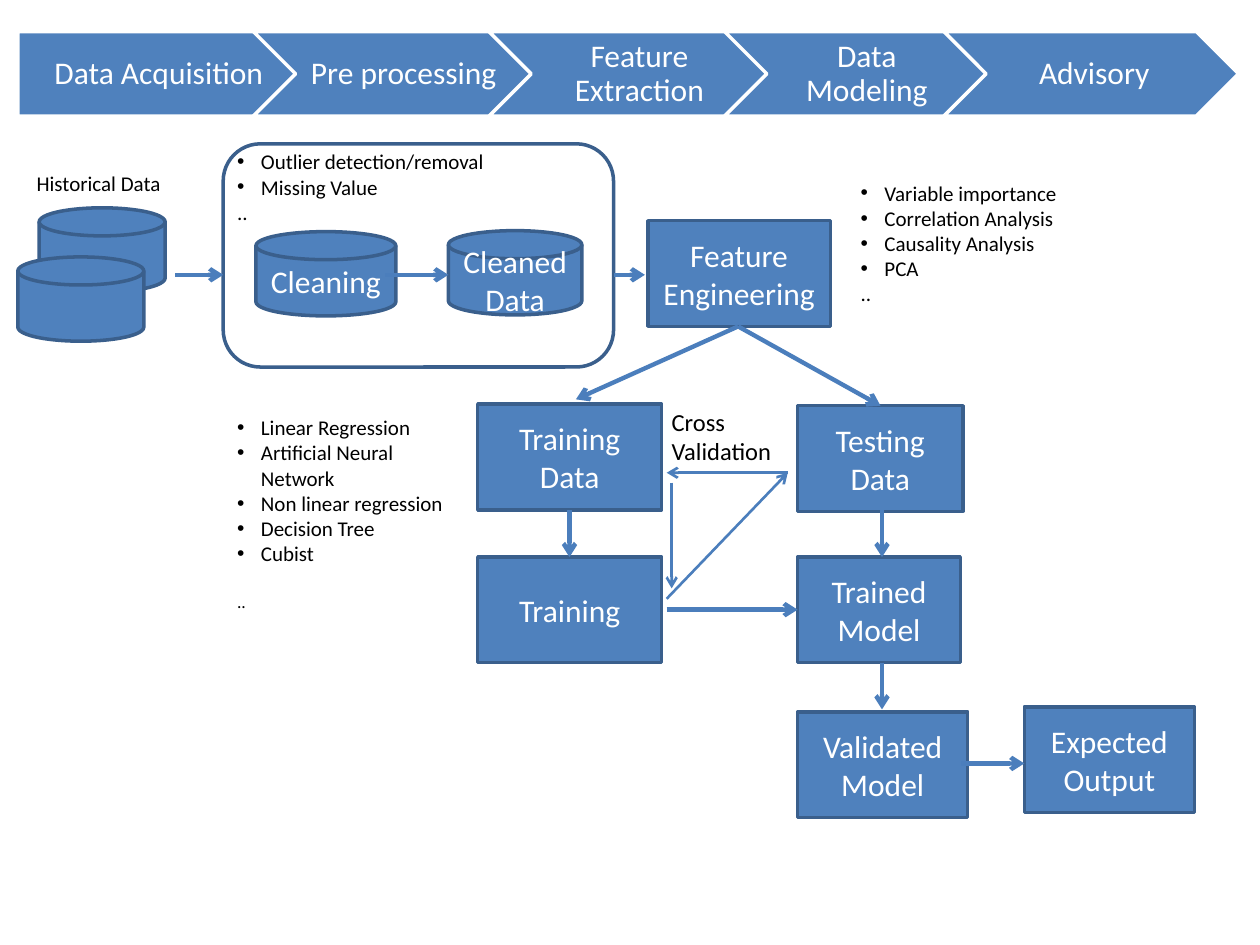
import pptx
import pptx.util
import pptx.dml.color
import pptx.enum.shapes
import pptx.enum.text
import pptx.oxml
import pptx.oxml.ns

Cm = pptx.util.Cm
Pt = pptx.util.Pt
SHAPES = pptx.enum.shapes.MSO_SHAPE
ALIGN = pptx.enum.text.PP_ALIGN
ANCHOR = pptx.enum.text.MSO_ANCHOR

THEME = {
    "font": "Calibri",
    "fill": "4F81BD", "outline": "3A5F8C", "arrow": "4B7EBC",
    "light": "FFFFFF", "dark": "000000",
    "box_size": 18, "label_size": 14, "list_size": 12, "small_size": 10,
    "outline_width": 2, "arrow_width": 2.5, "thin_width": 1.5,
}

STAGES = [
    ("Data Acquisition", 5.94), ("Pre processing", 5.94), ("Feature Extraction", 5.94),
    ("Data Modeling", 5.61), ("Advisory", 5.94),
]
STAGE_LEFT, STAGE_TOP, STAGE_HEIGHT, STAGE_OVERLAP = 0.36, 0.64, 1.7, 1.19

STORE_HEIGHT = 1.7
STORES = [
    ("", 0.79, 4.19, 2.54), ("", 0.36, 5.18, 2.54),
    ("Cleaning", 5.16, 4.67, 2.82), ("Cleaned Data", 9.04, 4.65, 2.69),
]

STEP_HEIGHT = 2.13
STEPS = [
    ("Feature Engineering", 13.06, 4.45, 3.68),
    ("Training Data", 9.63, 8.15, 3.71),
    ("Testing Data", 16.08, 8.18, 3.33),
    ("Training", 9.63, 11.23, 3.71),
    ("Trained Model", 16.08, 11.23, 3.28),
    ("Validated Model", 16.08, 14.35, 3.43),
    ("Expected Output", 20.65, 14.25, 3.43),
]

CLEANING_FRAME = (4.5, 2.9, 7.87, 4.5)

FLOW = [
    (3.53, 5.54, 4.5, 5.54), (7.77, 5.54, 9.04, 5.54), (12.37, 5.54, 13, 5.54),
    (14.88, 6.58, 11.61, 8.05), (14.88, 6.58, 17.75, 8.18),
    (11.48, 10.29, 11.48, 11.23), (13.44, 12.29, 16.08, 12.29),
    (17.78, 10.29, 17.78, 11.23), (17.78, 13.36, 17.78, 14.3),
    (19.38, 15.39, 20.65, 15.39),
]
VALIDATION_LOOP = [
    (13.44, 12.07, 15.88, 9.53), (15.88, 9.53, 13.44, 9.53), (13.54, 9.73, 13.54, 11.86),
]

LABELS = [
    ("Historical Data", (0.74, 3.43, 2.97, 0.51), "list_size"),
    ("Cross Validation", (13.54, 8.2, 2.44, 1.19), "label_size"),
]

LISTS = [
    {"placeholder": 1, "place": (4.78, 3, 5.08, 1.55), "gap": 0, "end_size": "list_size",
     "items": ["Outlier detection/removal", "Missing Value"]},
    {"placeholder": 2, "place": (17.35, 3.63, 4.37, 2.57), "gap": 0, "end_size": "list_size",
     "items": ["Variable importance", "Correlation Analysis", "Causality Analysis", "PCA"]},
    {"placeholder": 4, "place": (4.78, 8.36, 4.52, 4.01), "gap": 14.4, "end_size": "small_size",
     "items": ["Linear Regression", "Artificial Neural Network", "Non linear regression",
               "Decision Tree", "Cubist"]},
]
LIST_END = ".."
LIST_INDENT = 0.48


def color(name):
    return pptx.dml.color.RGBColor.from_string(THEME[name])


def style(paragraph, size, ink):
    for run in paragraph.runs:
        run.font.name = THEME["font"]
        run.font.size = Pt(THEME[size])
        run.font.bold = False
        run.font.color.rgb = color(ink)


def set_insets(frame, left=0, top=0, right=0, bottom=0):
    frame.margin_left, frame.margin_top = Cm(left), Cm(top)
    frame.margin_right, frame.margin_bottom = Cm(right), Cm(bottom)
    frame.word_wrap = True


def add_block(slide, kind, place, text="", outline="outline", fill="fill"):
    block = slide.shapes.add_shape(kind, *map(Cm, place))
    block.shadow.inherit = False
    if fill:
        block.fill.solid()
        block.fill.fore_color.rgb = color(fill)
    else:
        block.fill.background()
    block.line.color.rgb = color(outline)
    block.line.width = Pt(THEME["outline_width"])
    if text:
        frame = block.text_frame
        frame.text = text
        frame.vertical_anchor = ANCHOR.MIDDLE
        frame.paragraphs[0].alignment = ALIGN.CENTER
        style(frame.paragraphs[0], "box_size", "light")
    return block


def add_arrow(slide, ends, width):
    arrow = slide.shapes.add_connector(
        pptx.enum.shapes.MSO_CONNECTOR.STRAIGHT, *map(Cm, ends))
    arrow.line.color.rgb = color("arrow")
    arrow.line.width = Pt(THEME[width])
    head = pptx.oxml.parse_xml(f'<a:tailEnd {pptx.oxml.ns.nsdecls("a")} type="arrow"/>')
    arrow.line._get_or_add_ln().append(head)
    arrow._element.spPr.append(
        pptx.oxml.parse_xml(f'<a:effectLst {pptx.oxml.ns.nsdecls("a")}/>'))


def set_bullet(paragraph, bulleted):
    properties = paragraph._p.get_or_add_pPr()
    indent = Cm(LIST_INDENT) if bulleted else 0
    properties.set("marL", str(indent))
    properties.set("indent", str(-indent))
    tags = ['a:buFont {} typeface="Arial"', 'a:buChar {} char="•"'] if bulleted else ["a:buNone {}"]
    for tag in tags:
        properties.append(pptx.oxml.parse_xml(f'<{tag.format(pptx.oxml.ns.nsdecls("a"))}/>'))


def fill_list(body, content):
    body.left, body.top, body.width, body.height = map(Cm, content["place"])
    frame = body.text_frame
    frame.text = "\n".join(content["items"] + [LIST_END])
    frame.auto_size = pptx.enum.text.MSO_AUTO_SIZE.NONE
    frame.vertical_anchor = ANCHOR.TOP
    set_insets(frame)
    for paragraph in frame.paragraphs:
        is_end = paragraph.text == LIST_END
        set_bullet(paragraph, not is_end)
        paragraph.space_before = Pt(content["gap"] if is_end else 0)
        style(paragraph, content["end_size"] if is_end else "list_size", "dark")


def main():
    deck = pptx.Presentation()
    deck.slide_width, deck.slide_height = Cm(25.4), Cm(19.05)
    slide = deck.slides.add_slide(deck.slide_layouts.get_by_name("Comparison"))

    for content in LISTS:
        fill_list(slide.placeholders[content["placeholder"]], content)
    for placeholder in list(slide.placeholders):
        if not placeholder.text_frame.text:
            placeholder._element.getparent().remove(placeholder._element)

    for text, left, top, width in STORES:
        add_block(slide, SHAPES.FLOWCHART_MAGNETIC_DISK, (left, top, width, STORE_HEIGHT), text)
    for text, left, top, width in STEPS:
        add_block(slide, SHAPES.RECTANGLE, (left, top, width, STEP_HEIGHT), text)
    add_block(slide, SHAPES.ROUNDED_RECTANGLE, CLEANING_FRAME, fill=None)

    left = STAGE_LEFT
    for index, (text, width) in enumerate(STAGES):
        kind = SHAPES.CHEVRON if index else SHAPES.PENTAGON
        stage = add_block(slide, kind, (left, STAGE_TOP, width, STAGE_HEIGHT), text, "light")
        set_insets(stage.text_frame, 0.2 if index else 0.25, 0.13, 0.08, 0.13)
        stage.text_frame.paragraphs[0].line_spacing = 0.9
        left += width - STAGE_OVERLAP

    for ends in FLOW:
        add_arrow(slide, ends, "arrow_width")
    for ends in VALIDATION_LOOP:
        add_arrow(slide, ends, "thin_width")

    for text, place, size in LABELS:
        label = slide.shapes.add_textbox(*map(Cm, place))
        label.text_frame.text = text
        set_insets(label.text_frame)
        style(label.text_frame.paragraphs[0], size, "dark")

    deck.save("out.pptx")


if __name__ == "__main__":
    main()
